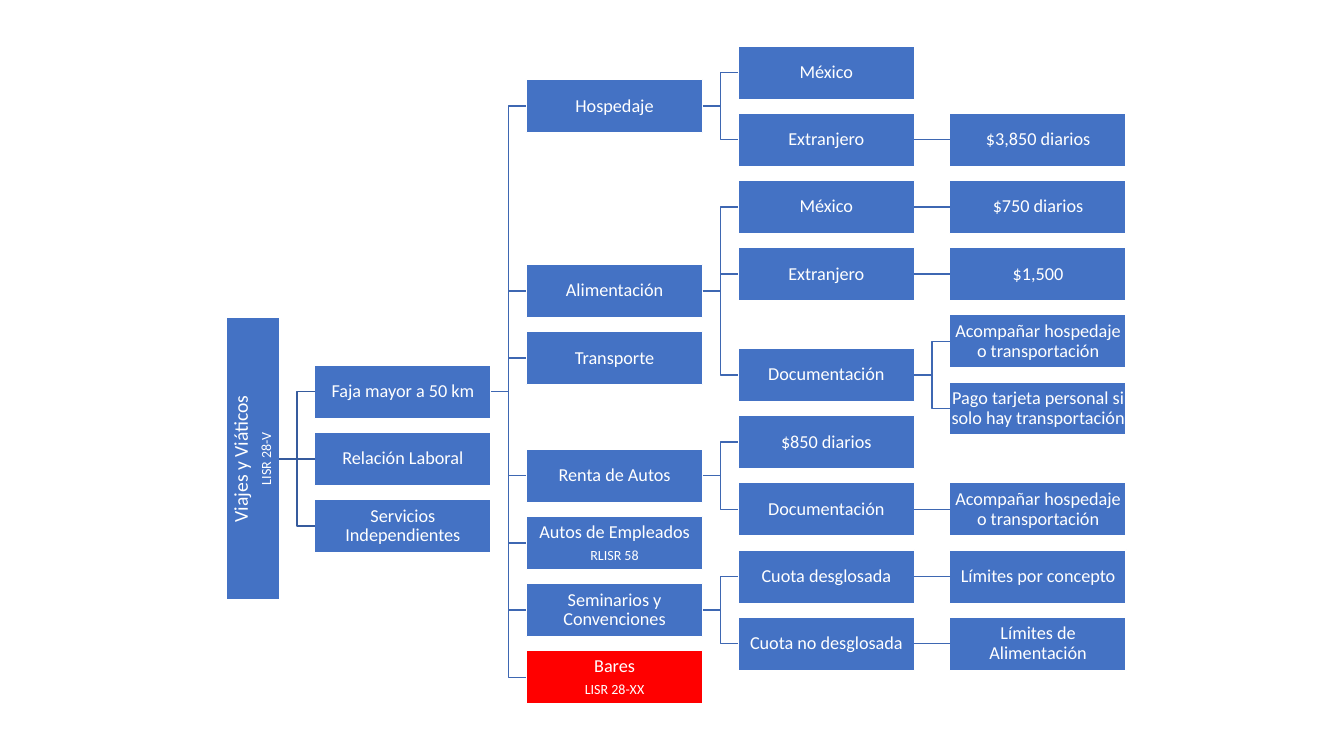
from pptx import Presentation
from pptx.dml.color import RGBColor
from pptx.enum import shapes, text
from pptx.util import Inches, Pt
from lxml import etree

COLORS = {"box": "4472C4", "alert": "FF0000", "white": "FFFFFF",
          "root_line": "365B9D", "line": "3E67B2"}
FONT = "Calibri"
MAIN_SIZE, ROOT_SIZE, NOTE_SIZE = 13, 14, 10

# Each node is (text, row of a leaf or list of children).
TREE = ("Viajes y Viáticos\nLISR 28-V", [
    ("Faja mayor a 50 km", [
        ("Hospedaje", [
            ("México", 0),
            ("Extranjero", [("$3,850 diarios", 1)]),
        ]),
        ("Alimentación", [
            ("México", [("$750 diarios", 2)]),
            ("Extranjero", [("$1,500", 3)]),
            ("Documentación", [
                ("Acompañar hospedaje o transportación", 4),
                ("Pago tarjeta personal si solo hay transportación", 5),
            ]),
        ]),
        ("Transporte", 4.25),
        ("Renta de Autos", [
            ("$850 diarios", 5.5),
            ("Documentación", [("Acompañar hospedaje o transportación", 6.5)]),
        ]),
        ("Autos de Empleados\nRLISR 58", 7),
        ("Seminarios y Convenciones", [
            ("Cuota desglosada", [("Límites por concepto", 7.5)]),
            ("Cuota no desglosada", [("Límites de Alimentación", 8.5)]),
        ]),
        ("Bares\nLISR 28-XX", 9),
    ]),
    ("Relación Laboral", 5.75),
    ("Servicios Independientes", 6.75),
])
ALERT = "Bares\nLISR 28-XX"

BOX_WIDTH, BOX_HEIGHT, ROOT_LENGTH = 1.75, 0.53, 2.8
COLUMN_GAP, FIRST_COLUMN = 0.35, 3.12
FIRST_CENTER, ROW_PITCH = 0.72, 2 / 3


def color(name):
    return RGBColor.from_string(COLORS[name])


def row_of(node):
    label, rest = node
    if not isinstance(rest, list):
        return rest
    return (row_of(rest[0]) + row_of(rest[-1])) / 2


def add_box(slide, label, level, row):
    is_root = level == 0
    width, height = (BOX_HEIGHT, ROOT_LENGTH) if is_root else (BOX_WIDTH, BOX_HEIGHT)
    left = (FIRST_COLUMN - COLUMN_GAP - width if is_root
            else FIRST_COLUMN + (level - 1) * (BOX_WIDTH + COLUMN_GAP))
    top = FIRST_CENTER + row * ROW_PITCH - height / 2
    box = slide.shapes.add_shape(shapes.MSO_SHAPE.RECTANGLE, Inches(left), Inches(top),
                                 Inches(width), Inches(height))
    box.shadow.inherit = False
    box.fill.solid()
    box.fill.fore_color.rgb = color("alert" if label == ALERT else "box")
    box.line.color.rgb = color("white")
    box.line.width = Pt(1)
    frame = box.text_frame
    frame.text = label
    frame.word_wrap = True
    frame.vertical_anchor = text.MSO_ANCHOR.MIDDLE
    frame.margin_left = frame.margin_right = Inches(0.01)
    frame.margin_top = frame.margin_bottom = Inches(0.01)
    if is_root:
        frame._txBody.bodyPr.set("vert", "vert270")
    for index, paragraph in enumerate(frame.paragraphs):
        size = NOTE_SIZE if index else ROOT_SIZE if is_root else MAIN_SIZE
        paragraph.alignment = text.PP_ALIGN.CENTER
        paragraph.line_spacing = 0.9
        paragraph.space_after = Pt(size * 0.35)
        for run in paragraph.runs:
            run.font.name = FONT
            run.font.size = Pt(size)
            run.font.color.rgb = color("white")
    return box


def add_link(slide, parent, child, straight, line_color):
    kind = shapes.MSO_CONNECTOR.STRAIGHT if straight else shapes.MSO_CONNECTOR.ELBOW
    link = slide.shapes.add_connector(kind, 0, 0, 0, 0)
    link.begin_connect(parent, 3)
    link.end_connect(child, 1)
    link.line.color.rgb = color(line_color)
    link.line.width = Pt(1)
    properties = link._element.spPr
    etree.SubElement(properties, properties.tag.split("}")[0].replace(
        "presentationml", "drawingml").replace("/2006/main", "/2006/main") + "}effectLst")


def add_branch(slide, node, level=0):
    label, rest = node
    row = row_of(node)
    box = add_box(slide, label, level, row)
    for child in rest if isinstance(rest, list) else []:
        child_box = add_branch(slide, child, level + 1)
        add_link(slide, box, child_box, row_of(child) == row,
                 "line" if level else "root_line")
    return box


def main():
    presentation = Presentation()
    presentation.slide_width = Inches(13.33)
    presentation.slide_height = Inches(7.5)
    slide = presentation.slides.add_slide(presentation.slide_layouts[6])
    add_branch(slide, TREE)
    presentation.save("out.pptx")


if __name__ == "__main__":
    main()
